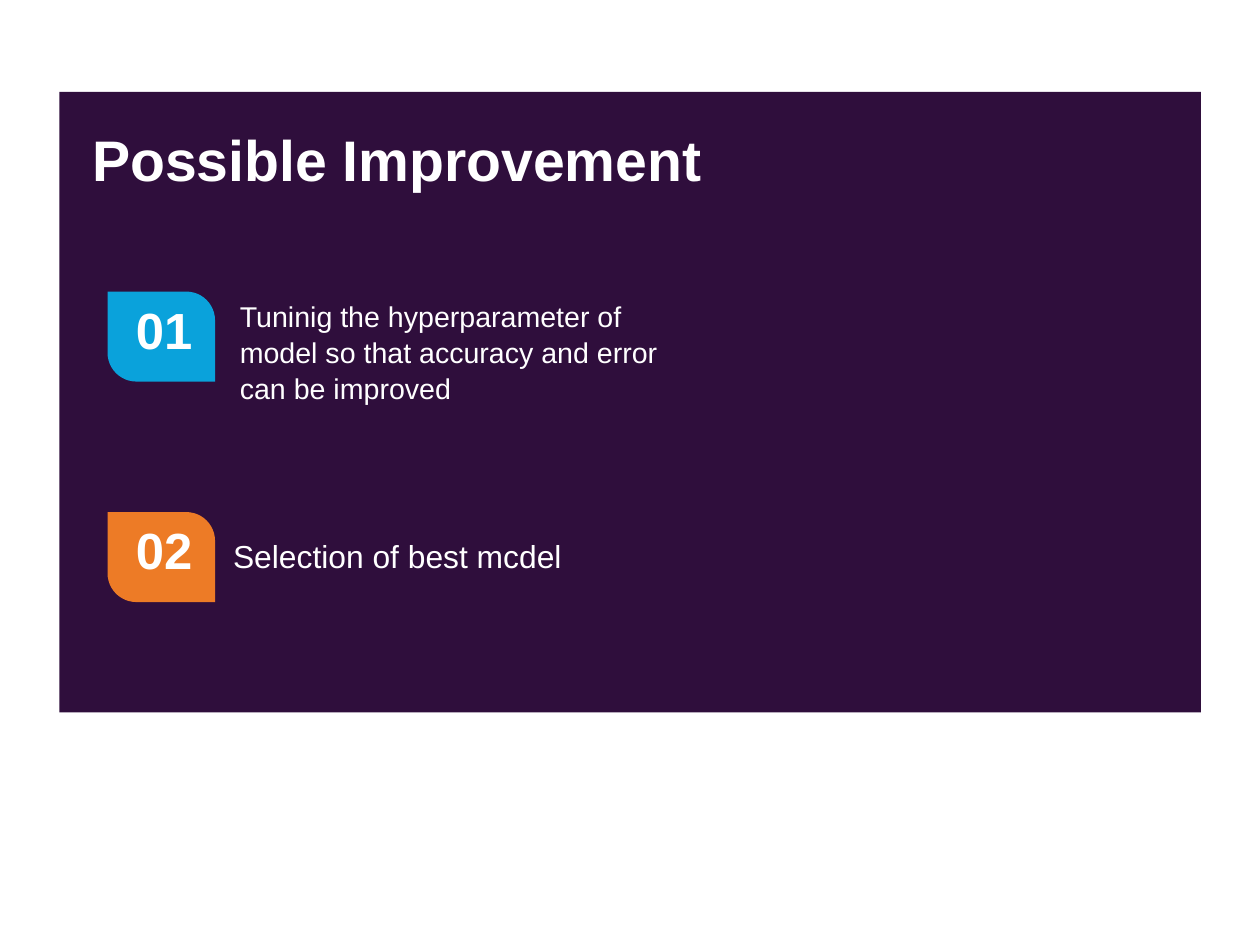
from pptx import Presentation
from pptx.dml.color import RGBColor
from pptx.enum.shapes import MSO_SHAPE
from pptx.util import Cm, Pt

COLORS = {"panel": "2F0E3C", "text": "FFFFFF", "blue": "0AA2DB", "orange": "ED7B26"}

deck = Presentation()
deck.slide_width, deck.slide_height = Cm(28), Cm(21)
page = deck.slides.add_slide(deck.slide_layouts[6])


def add_block(preset, left, top, width, height, color):
    """Add a filled shape without outline or shadow."""
    block = page.shapes.add_shape(preset, Cm(left), Cm(top), Cm(width), Cm(height))
    block.shadow.inherit = False
    block.fill.solid()
    block.fill.fore_color.rgb = RGBColor.from_string(COLORS[color])
    block.line.fill.background()
    return block


def add_text(text, left, top, width, height, size, bold=False):
    box = page.shapes.add_textbox(Cm(left), Cm(top), Cm(width), Cm(height))
    box.text_frame.word_wrap = True
    para = box.text_frame.paragraphs[0]
    para.text = text
    para.line_spacing = 1.08 if bold else 1.05
    para.font.name = "Arial"
    para.font.size = Pt(size)
    para.font.bold = bold
    para.font.color.rgb = RGBColor.from_string(COLORS["text"])


add_block(MSO_SHAPE.RECTANGLE, 1.32, 2.04, 25.37, 13.79, "panel")
add_text("Possible Improvement", 1.8, 2.51, 21.56, 3.28, 36, bold=True)

# Number, badge colour, badge top, text, then text left, top, width, height and size
improvements = [
    ("01", "blue", 6.48,
     "Tuninig the hyperparameter of model so that accuracy and error can be improved",
     5.08, 6.48, 10.26, 0.91, 18),
    ("02", "orange", 11.38, "Selection of best mcdel", 4.93, 11.76, 17.83, 1.24, 20),
]
for number, color, top, text, left, text_top, width, height, size in improvements:
    badge = add_block(MSO_SHAPE.ROUND_2_DIAG_RECTANGLE, 2.39, top, 2.39, 2, color)
    badge.adjustments[0] = 0
    badge.adjustments[1] = 0.32
    add_text(number, 2.77, top - 0.08, 2.5, 1.5, 32, bold=True)
    add_text(text, left, text_top, width, height, size)

deck.save("out.pptx")
